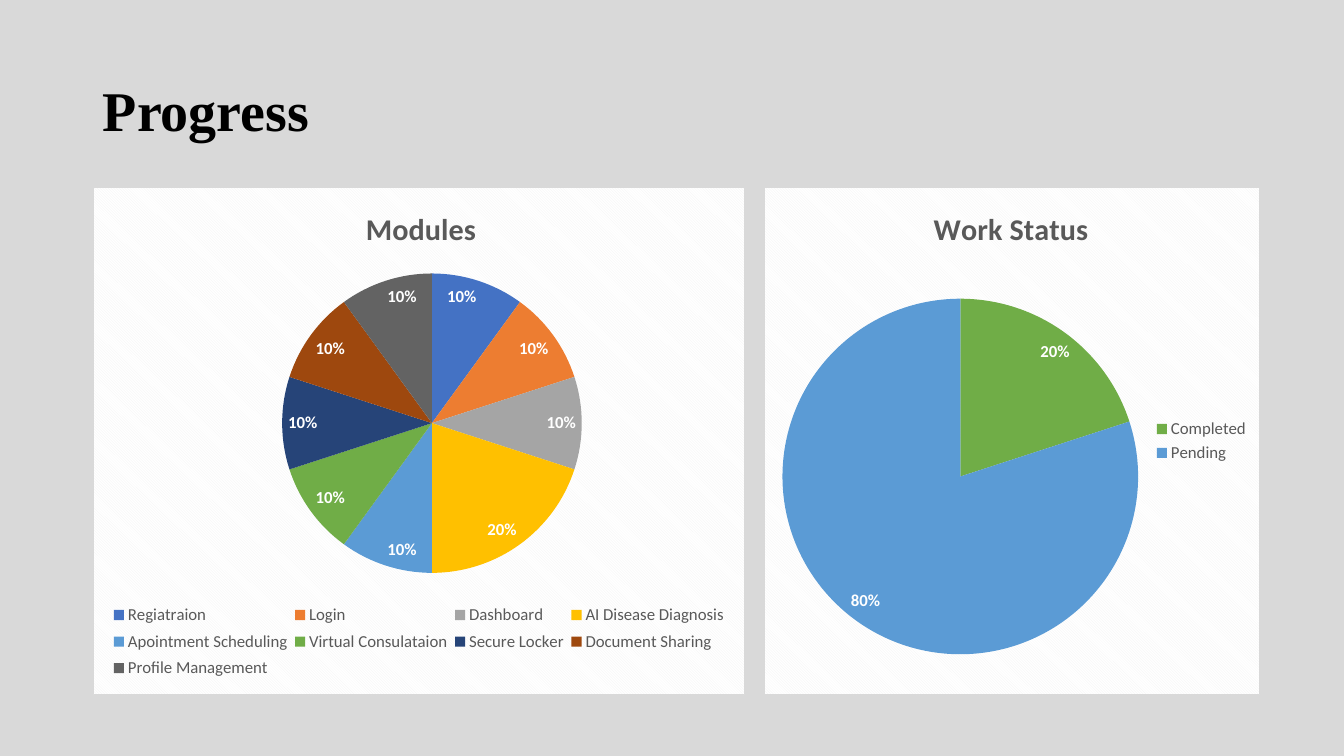
from pptx import Presentation
from pptx import util as u
from pptx.chart.data import CategoryChartData
from pptx.dml.color import RGBColor
from pptx.enum import chart as ch, text
from pptx.oxml import parse_xml
from pptx.oxml.ns import nsdecls, qn

MODULES = {
    "Regiatraion": (10, "4472C4"),
    "Login": (10, "ED7D31"),
    "Dashboard": (10, "A5A5A5"),
    "AI Disease Diagnosis": (20, "FFC000"),
    "Apointment Scheduling": (10, "5B9BD5"),
    "Virtual Consulataion": (10, "70AD47"),
    "Secure Locker": (10, "264478"),
    "Document Sharing": (10, "9E480E"),
    "Profile Management": (10, "636363"),
}
WORK_STATUS = {"Completed": (20, "70AD47"), "Pending": (80, "5B9BD5")}


def rgb(value):
    return RGBColor.from_string(value)


def set_font(font, size, color, name="Calibri", bold=False):
    font.size = u.Pt(size)
    font.color.rgb = rgb(color)
    font.name = name
    font.bold = bold


def write(frame, words, **style):
    paragraph = frame.paragraphs[0]
    run = paragraph.add_run()
    run.text = words
    set_font(run.font, **style)
    return paragraph


def layout_xml(x, y, w=None, h=None, inner=False):
    target = '<c:layoutTarget val="inner"/>' if inner else ""
    sizes = f'<c:w val="{w}"/><c:h val="{h}"/>' if w else ""
    return parse_xml(
        f'<c:layout {nsdecls("c")}><c:manualLayout>{target}'
        '<c:xMode val="edge"/><c:yMode val="edge"/>'
        f'<c:x val="{x}"/><c:y val="{y}"/>{sizes}'
        "</c:manualLayout></c:layout>")


class ProgressSlide:
    gray = "595959"
    panel_top, panel_height = 1.85, 5.05

    def __init__(self, deck):
        self.slide = deck.slides.add_slide(deck.slide_layouts[5])
        fill = self.slide.background.fill
        fill.solid()
        fill.fore_color.rgb = rgb("D9D9D9")

    def title(self, words):
        heading = self.slide.shapes.title
        heading.left, heading.top = u.Inches(0.92), u.Inches(0.4)
        heading.width, heading.height = u.Inches(11.5), u.Inches(1.45)
        heading.text_frame.vertical_anchor = text.MSO_ANCHOR.MIDDLE
        line = write(heading.text_frame, words, size=40, color="000000",
                     name="Times New Roman", bold=True)
        line.alignment = text.PP_ALIGN.LEFT
        line.line_spacing = 0.9

    def pie(self, heading, shares, left, width, legend_side, label_side,
            heading_at, plot_at, legend_at=None, empty_series=()):
        data = CategoryChartData()
        data.categories = list(shares)
        data.add_series("Series 1", [share for share, _ in shares.values()])
        pie = self.slide.shapes.add_chart(
            ch.XL_CHART_TYPE.PIE, u.Inches(left), u.Inches(self.panel_top),
            u.Inches(width), u.Inches(self.panel_height), data).chart
        set_font(pie.font, 10, "000000")
        self.panel(pie)
        self.heading(pie, heading, heading_at)
        self.legend(pie, legend_side, legend_at)
        self.slices(pie.plots[0], shares, label_side)
        plot_area = pie.element.find(".//" + qn("c:plotArea"))
        self.place(plot_area, 0, layout_xml(*plot_at, inner=True))
        for name in empty_series:
            data.add_series(name, [0] * len(shares))
            pie.replace_data(data)

    def place(self, parent, index, layout):
        for old in parent.findall(qn("c:layout")):
            parent.remove(old)
        parent.insert(index, layout)

    def panel(self, pie):
        pie.element.find(qn("c:chart")).addnext(parse_xml(
            f'<c:spPr {nsdecls("c", "a")}><a:pattFill prst="dkDnDiag">'
            '<a:fgClr><a:srgbClr val="F2F2F2"/></a:fgClr>'
            '<a:bgClr><a:srgbClr val="FFFFFF"/></a:bgClr></a:pattFill>'
            '<a:ln w="9525"><a:solidFill><a:srgbClr val="D9D9D9"/>'
            "</a:solidFill></a:ln></c:spPr>"))

    def heading(self, pie, words, at):
        pie.has_title = True
        write(pie.chart_title.text_frame, words, size=21.6, color=self.gray, bold=True)
        pie.chart_title.include_in_layout = False
        self.place(pie.chart_title._element, 1, layout_xml(*at))

    def legend(self, pie, side, at):
        pie.has_legend = True
        pie.legend.position = side
        pie.legend.include_in_layout = False
        set_font(pie.legend.font, 12, self.gray)
        if at:
            self.place(pie.legend._element, 1, layout_xml(*at))

    def slices(self, plot, shares, label_side):
        plot.vary_by_categories = True
        series = plot.series[0]
        for index, (_, color) in enumerate(shares.values()):
            fill = series.points[index].format.fill
            fill.solid()
            fill.fore_color.rgb = rgb(color)
        labels = series.data_labels
        labels.show_percentage = True
        labels.show_value = False
        labels.number_format = "0%"
        labels.number_format_is_linked = False
        labels.position = label_side
        set_font(labels.font, 12, "FFFFFF", bold=True)


def main():
    deck = Presentation()
    deck.slide_width, deck.slide_height = u.Inches(13.33), u.Inches(7.5)
    progress = ProgressSlide(deck)
    progress.title("Progress")
    progress.pie("Modules", MODULES, 0.92, 6.47, ch.XL_LEGEND_POSITION.BOTTOM,
                 ch.XL_LABEL_POSITION.INSIDE_END, (0.41, 0.03),
                 (0.29, 0.14, 0.46, 0.65), (0.02, 0.81, 0.96, 0.17), ["Series 2"])
    progress.pie("Work Status", WORK_STATUS, 7.58, 4.92, ch.XL_LEGEND_POSITION.RIGHT,
                 ch.XL_LABEL_POSITION.BEST_FIT, (0.33, 0.03),
                 (0.03, 0.22, 0.73, 0.7))
    deck.save("out.pptx")


if __name__ == "__main__":
    main()
